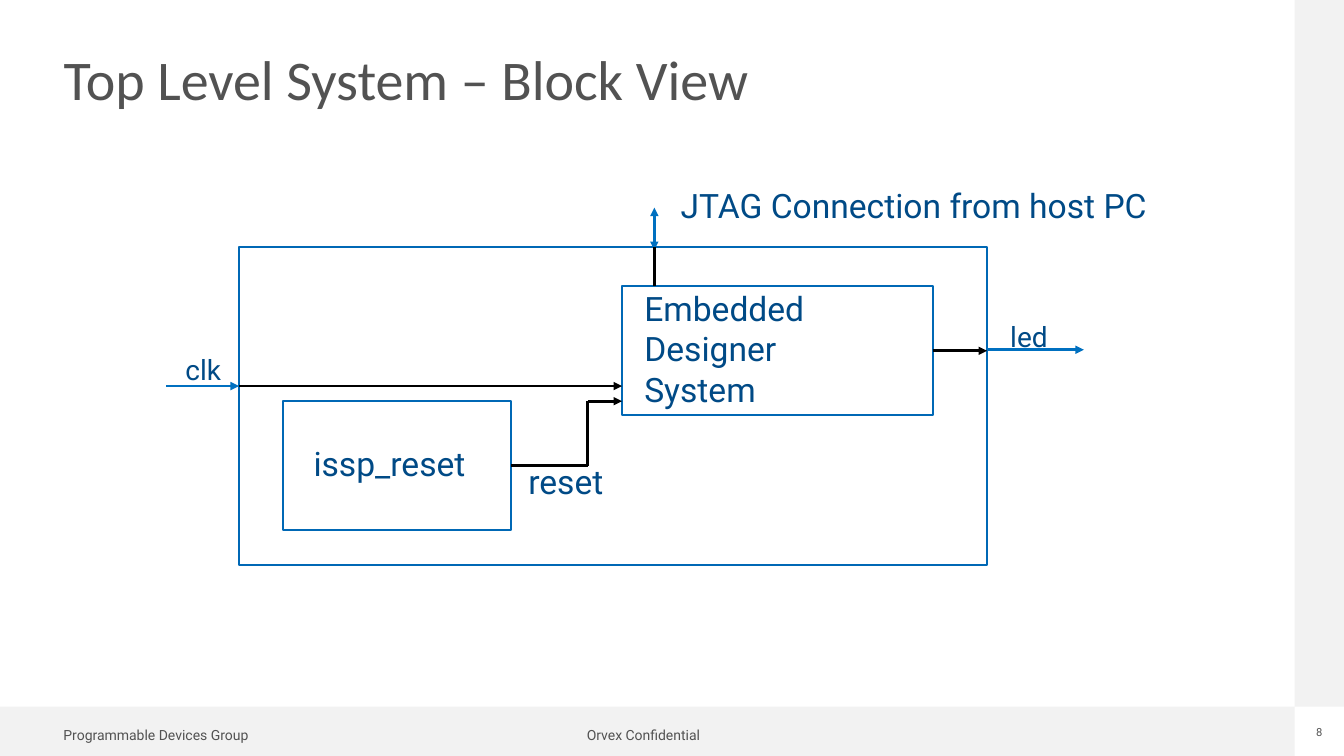
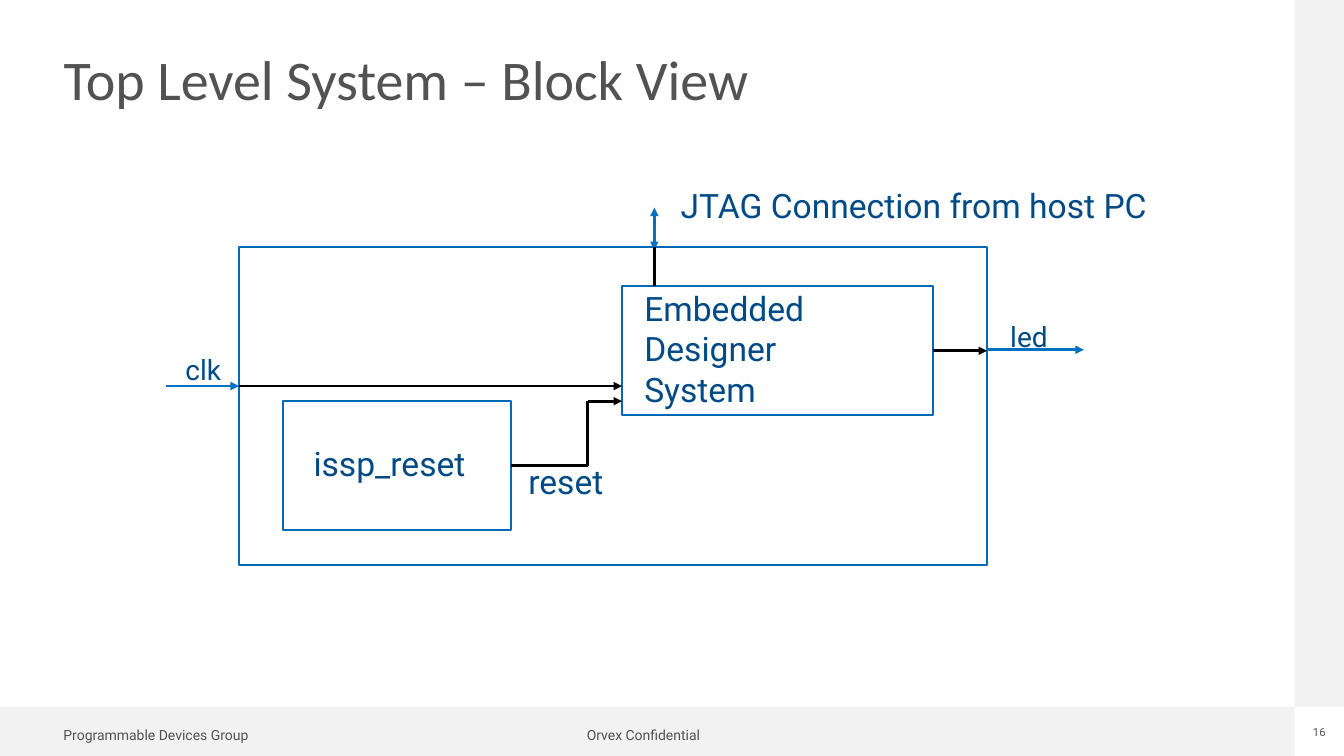
import itertools
from dataclasses import dataclass

import pptx
import pptx.dml.color
import pptx.enum.shapes
import pptx.enum.text
import pptx.oxml
import pptx.oxml.ns
import pptx.util

Inches, Pt = pptx.util.Inches, pptx.util.Pt
ALIGN = pptx.enum.text.PP_ALIGN
ANCHOR = pptx.enum.text.MSO_ANCHOR
RECTANGLE = pptx.enum.shapes.MSO_SHAPE.RECTANGLE
STRAIGHT = pptx.enum.shapes.MSO_CONNECTOR.STRAIGHT


@dataclass(frozen=True)
class Theme:
    title_font: str = "Calibri"
    body_font: str = "Roboto"
    grey: str = "525252"
    band: str = "F2F2F2"
    outline: str = "0068B5"
    label: str = "004A86"
    external: str = "0070C0"
    internal: str = "000000"
    title_size: int = 40
    block_size: int = 24
    pin_size: int = 20
    footer_size: int = 10
    number_size: int = 8
    outline_width: float = 1.5
    wire_width: float = 2


THEME = Theme()
WIDTH, HEIGHT, BAND = 13.33, 7.5, 0.49

# Content
PAGES = [("Top Level System – Block View", 8), ("Top Level System – Block View", 16)]
FOOTERS = [("Programmable Devices Group", 0.63), ("Orvex Confidential", 5.82)]

# Blocks: left, top, width, height, text, text indent
BLOCKS = {
    "chip": (2.37, 2.45, 7.42, 3.16, "", 0),
    "reset": (2.81, 3.98, 2.26, 1.28, "issp_reset", 0.3),
    "designer": (6.17, 2.84, 3.08, 1.28, "Embedded Designer\nSystem", 0.22),
}

# Labels: text, left, top, width, size
LABELS = [
    ("clk", 1.84, 3.5, 0.5, THEME.pin_size),
    ("led", 10.02, 3.17, 0.6, THEME.pin_size),
    ("reset", 5.24, 4.57, 0.9, THEME.block_size),
    ("JTAG Connection from host PC", 6.75, 1.83, 5, THEME.block_size),
]

# Places where wires meet the blocks
CHIP_LEFT, CHIP_TOP, CHIP_WIDTH = BLOCKS["chip"][:3]
CHIP_RIGHT = CHIP_LEFT + CHIP_WIDTH
DESIGNER_LEFT, DESIGNER_TOP, DESIGNER_WIDTH, BLOCK_HEIGHT = BLOCKS["designer"][:4]
RESET_LEFT, RESET_TOP, RESET_WIDTH = BLOCKS["reset"][:3]
CLK_Y, JTAG_X, TURN_X = 3.83, 6.49, 5.83
LED_Y = DESIGNER_TOP + BLOCK_HEIGHT / 2
RESET_Y = RESET_TOP + BLOCK_HEIGHT / 2

# Wires: colour, arrowheads, block whose right side starts the wire, points
WIRES = [
    (THEME.external, ["tailEnd"], None, [(1.65, CLK_Y), (CHIP_LEFT, CLK_Y)]),
    (THEME.external, ["tailEnd"], None, [(CHIP_RIGHT, 3.47), (10.75, 3.47)]),
    (THEME.external, ["headEnd", "tailEnd"], None, [(JTAG_X, 2.06), (JTAG_X, 2.48)]),
    (THEME.internal, ["tailEnd"], None, [(CHIP_LEFT, CLK_Y), (DESIGNER_LEFT, CLK_Y)]),
    (THEME.internal, ["tailEnd"], "reset",
     [(RESET_LEFT + RESET_WIDTH, RESET_Y), (TURN_X, RESET_Y),
      (TURN_X, RESET_TOP), (DESIGNER_LEFT, RESET_TOP)]),
    (THEME.internal, ["tailEnd"], "designer",
     [(DESIGNER_LEFT + DESIGNER_WIDTH, LED_Y), (CHIP_RIGHT, LED_Y)]),
    (THEME.internal, [], None, [(JTAG_X, DESIGNER_TOP), (JTAG_X, CHIP_TOP)]),
]


def rgb(value):
    return pptx.dml.color.RGBColor.from_string(value)


def write(frame, text, size, color, font=THEME.body_font, align=ALIGN.LEFT,
          anchor=ANCHOR.TOP, insets=(0, 0, 0, 0), spacing=None):
    frame.word_wrap = True
    frame.auto_size = pptx.enum.text.MSO_AUTO_SIZE.NONE
    frame.vertical_anchor = anchor
    (frame.margin_left, frame.margin_top,
     frame.margin_right, frame.margin_bottom) = map(Inches, insets)
    frame.text = text
    for para in frame.paragraphs:
        para.alignment = align
        para.line_spacing = spacing
        para.font.name = font
        para.font.size = Pt(size)
        para.font.color.rgb = rgb(color)


def add_label(page, text, left, top, width, height, size, color, **style):
    box = page.shapes.add_textbox(*map(Inches, (left, top, width, height)))
    write(box.text_frame, text, size, color, **style)


def add_rectangle(page, left, top, width, height, fill=None):
    box = page.shapes.add_shape(RECTANGLE, *map(Inches, (left, top, width, height)))
    box.shadow.inherit = False
    if fill:
        box.fill.solid()
        box.fill.fore_color.rgb = rgb(fill)
        box.line.fill.background()
    else:
        box.fill.background()
        box.line.color.rgb = rgb(THEME.outline)
        box.line.width = Pt(THEME.outline_width)
    return box


def add_wire(page, start, end, color, arrowheads):
    wire = page.shapes.add_connector(STRAIGHT, *map(Inches, start + end))
    wire.line.color.rgb = rgb(color)
    wire.line.width = Pt(THEME.wire_width)
    outline = wire.line._get_or_add_ln()
    for name in arrowheads:
        head = pptx.oxml.parse_xml(f'<a:{name} {pptx.oxml.ns.nsdecls("a")} type="triangle"/>')
        outline.append(head)
    effects = pptx.oxml.parse_xml(f'<a:effectLst {pptx.oxml.ns.nsdecls("a")}/>')
    outline.addnext(effects)
    return wire


def add_frame(page, title, number):
    # Bands along the bottom and right edges, with an open corner
    add_rectangle(page, 0, HEIGHT - BAND, WIDTH - BAND, BAND, THEME.band)
    add_rectangle(page, WIDTH - BAND, 0, BAND, HEIGHT - BAND, THEME.band)
    for text, left in FOOTERS:
        add_label(page, text, left, 7.18, 2.5, 0.25, THEME.footer_size, THEME.grey,
                  anchor=ANCHOR.MIDDLE, spacing=0.9)
    add_label(page, str(number), WIDTH - BAND, 7.2, BAND, 0.13, THEME.number_size,
              THEME.grey, align=ALIGN.CENTER)
    heading = page.shapes.title
    heading.left, heading.top, heading.width, heading.height = map(
        Inches, (0.63, 0.48, 12.04, 0.67))
    write(heading.text_frame, title, THEME.title_size, THEME.grey,
          font=THEME.title_font, anchor=ANCHOR.MIDDLE, spacing=0.9)


def add_diagram(page):
    blocks = {}
    for name, (left, top, width, height, text, indent) in BLOCKS.items():
        blocks[name] = add_rectangle(page, left, top, width, height)
        if text:
            write(blocks[name].text_frame, text, THEME.block_size, THEME.label,
                  anchor=ANCHOR.MIDDLE, insets=(indent, 0, 0, 0.05))
    for text, left, top, width, size in LABELS:
        add_label(page, text, left, top, width, 0.4, size, THEME.label)
    for color, arrowheads, source, points in WIRES:
        legs = list(itertools.pairwise(points))
        for index, (start, end) in enumerate(legs):
            is_last = index == len(legs) - 1
            wire = add_wire(page, start, end, color, arrowheads if is_last else [])
            if source and index == 0:
                wire.begin_connect(blocks[source], 3)


def main():
    deck = pptx.Presentation()
    deck.slide_width, deck.slide_height = Inches(WIDTH), Inches(HEIGHT)
    for title, number in PAGES:
        page = deck.slides.add_slide(deck.slide_layouts[5])
        add_frame(page, title, number)
        add_diagram(page)
    deck.save("out.pptx")


if __name__ == "__main__":
    main()
